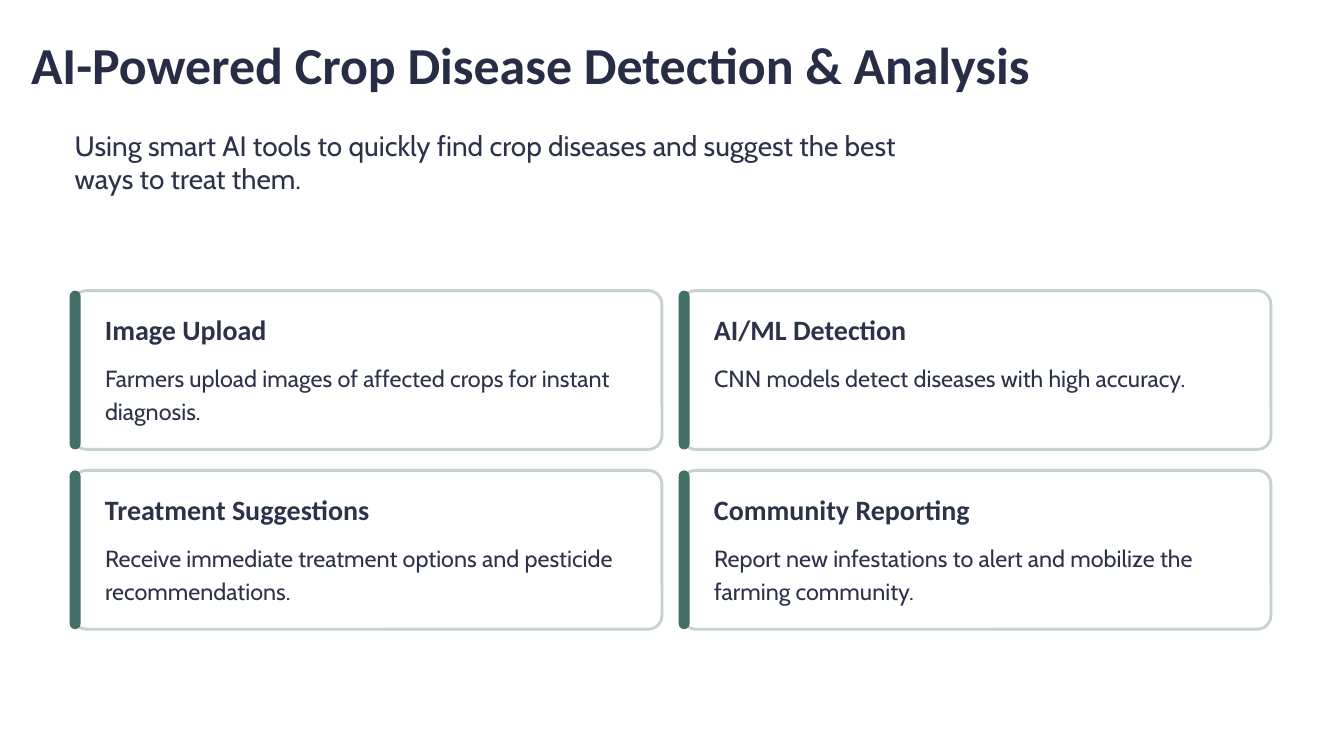
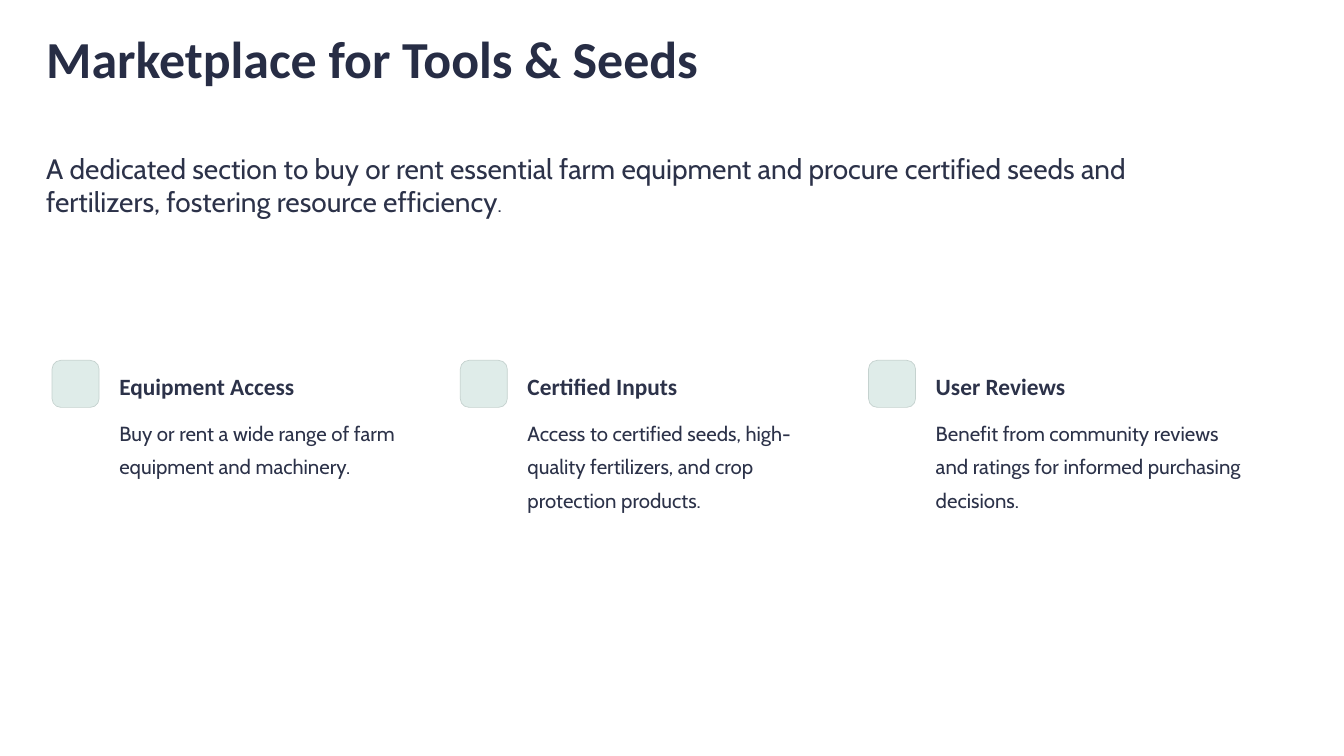
from pptx import Presentation
from pptx import util as u
from pptx.dml.color import RGBColor
from pptx.enum import shapes

TITLE = RGBColor(0x27, 0x2D, 0x45)
INK = RGBColor(0x2C, 0x32, 0x49)
WHITE = RGBColor(0xFF, 0xFF, 0xFF)
EDGE = RGBColor(0xC5, 0xD2, 0xCF)
GREEN = RGBColor(0x43, 0x70, 0x66)
MINT = RGBColor(0xDF, 0xEC, 0xE9)
HEAD, BODY = "Calibri", "Cabin"

CARDS = [
    ("Image Upload", "Farmers upload images of affected crops for instant diagnosis."),
    ("AI/ML Detection", "CNN models detect diseases with high accuracy."),
    ("Treatment Suggestions", "Receive immediate treatment options and pesticide recommendations."),
    ("Community Reporting", "Report new infestations to alert and mobilize the farming community."),
]
ITEMS = [
    ("Equipment Access", "Buy or rent a wide range of farm equipment and machinery."),
    ("Certified Inputs", "Access to certified seeds, high-quality fertilizers, and crop protection products."),
    ("User Reviews", "Benefit from community reviews and ratings for informed purchasing decisions."),
]


def add_run(para, words, size, font=BODY, color=INK, bold=False):
    """Append one formatted run to a paragraph."""
    run = para.add_run()
    run.text = words
    run.font.size = u.Pt(size)
    run.font.name = font
    run.font.bold = bold
    run.font.color.rgb = color


def add_text(slide, box, words, size, lead=28.5, wrap=True, **style):
    """Place a text box without margins and return its paragraph."""
    frame = slide.shapes.add_textbox(*map(u.Inches, box)).text_frame
    frame.margin_left = frame.margin_top = frame.margin_right = frame.margin_bottom = 0
    frame.word_wrap = wrap
    para = frame.paragraphs[0]
    para.line_spacing = u.Pt(lead)
    add_run(para, words, size, **style)
    return para


def add_round(slide, box, fill, bend, line=None):
    """Place a rounded box, outlined when a line width is given."""
    shape = slide.shapes.add_shape(
        shapes.MSO_SHAPE.ROUNDED_RECTANGLE, *map(u.Inches, box))
    shape.shadow.inherit = False
    shape.adjustments[0] = bend
    shape.fill.solid()
    shape.fill.fore_color.rgb = fill
    if line:
        shape.line.color.rgb = EDGE
        shape.line.width = u.Pt(line)
    else:
        shape.line.fill.background()


def add_title(slide, box, words):
    """Place the slide title."""
    add_text(slide, box, words, 44.5, lead=55.5, wrap=False,
             font=HEAD, color=TITLE, bold=True)


def add_label(slide, left, top, words, size):
    """Place the bold heading of a card or item."""
    add_text(slide, (left, top, 3.3, 0.39), words, size, lead=27.5,
             wrap=False, font=HEAD, bold=True)


def add_card(slide, box, head, body):
    """Draw an outlined card with a green edge, a heading and a text."""
    left, top, width, height = box
    add_round(slide, box, WHITE, 0.085, line=2.4)
    add_round(slide, (left - 0.04, top, 0.13, height), GREEN, 0.5)
    add_label(slide, left + 0.38, top + 0.28, head, 24)
    add_text(slide, (left + 0.38, top + 0.81, width - 0.66, 0.79), body, 20)


def add_item(slide, left, top, head, body):
    """Draw a mint tile with a heading and a text to its right."""
    add_round(slide, (left, top, 0.56, 0.56), MINT, 0.187, line=0.6)
    add_label(slide, left + 0.8, top + 0.09, head, 20)
    add_text(slide, (left + 0.8, top + 0.62, 3.74, 1.19), body, 17.5)


def build_crop(slide):
    """Build the crop disease slide with its grid of cards."""
    add_title(slide, (0.37, 0.36, 12.63, 0.78),
              "AI-Powered Crop Disease Detection & Analysis")
    for i, card in enumerate(CARDS):
        row, col = divmod(i, 2)
        add_card(slide, (0.87 + 7.25 * col, 3.46 + 2.14 * row, 7.01, 1.89), *card)
    add_text(slide, (0.89, 1.53, 10.2, 0.81),
             "Using smart AI tools to quickly find crop diseases and suggest "
             "the best ways to treat them.", 24)


def build_market(slide):
    """Build the marketplace slide with its row of items."""
    add_title(slide, (0.55, 0.29, 8.16, 0.78), "Marketplace for Tools & Seeds")
    intro = add_text(slide, (0.55, 1.81, 14.26, 0.79),
                     "A dedicated section to buy or rent essential farm equipment "
                     "and procure certified seeds and fertilizers, fostering "
                     "resource efficiency", 24)
    add_run(intro, ".", 17.5)
    for i, item in enumerate(ITEMS):
        add_item(slide, 0.62 + 4.86 * i, 4.29, *item)


def main():
    """Build and save the presentation."""
    deck = Presentation()
    deck.slide_width, deck.slide_height = u.Inches(16), u.Inches(9)
    for build in (build_crop, build_market):
        build(deck.slides.add_slide(deck.slide_layouts[6]))
    deck.save("out.pptx")


if __name__ == "__main__":
    main()
